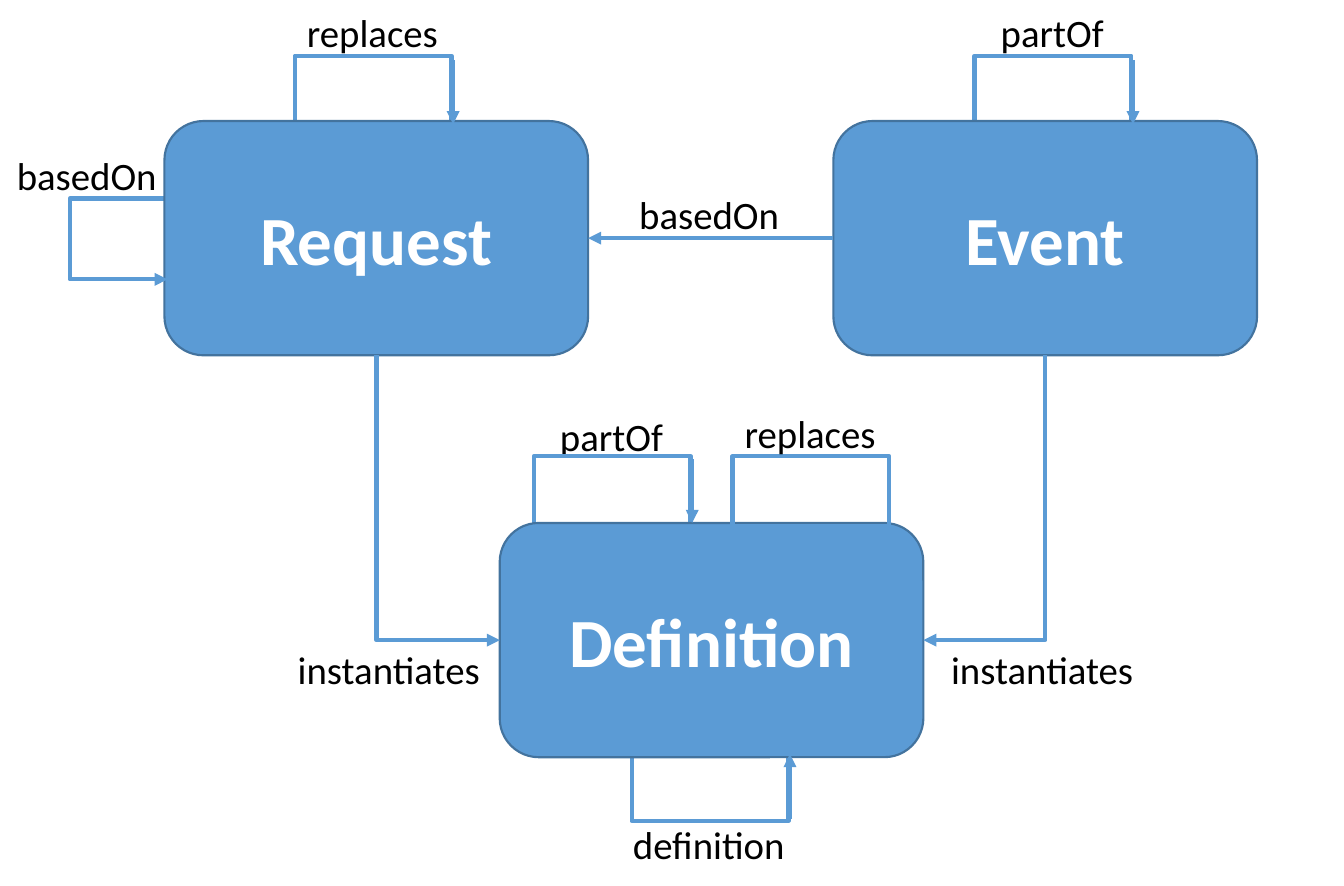
import pptx
import pptx.util
import pptx.dml.color
import pptx.enum.shapes
import pptx.enum.text
import pptx.oxml.ns
import lxml.etree
import dataclasses

Inches = pptx.util.Inches
Pt = pptx.util.Pt
Color = pptx.dml.color.RGBColor.from_string
Shape = pptx.enum.shapes.MSO_SHAPE
Connector = pptx.enum.shapes.MSO_CONNECTOR
qn = pptx.oxml.ns.qn


@dataclasses.dataclass
class Theme:
    font: str = "Calibri"
    blue: str = "5B9BD5"
    border: str = "43739E"
    light: str = "FFFFFF"
    dark: str = "000000"
    title_size: int = 32
    label_size: int = 18
    line_width: int = 2
    border_width: int = 1


theme = Theme()
deck = pptx.Presentation()
deck.slide_width, deck.slide_height = Inches(8.66), Inches(5.71)
page = deck.slides.add_slide(deck.slide_layouts[6])


def add_box(kind, left, top, width, height, line_color, line_width):
    box = page.shapes.add_shape(kind, Inches(left), Inches(top), Inches(width), Inches(height))
    box.shadow.inherit = False
    box.fill.background()
    box.line.color.rgb = Color(line_color)
    box.line.width = Pt(line_width)
    return box


def add_text(box, text, size, color, bold):
    span = box.text_frame.paragraphs[0].add_run()
    span.text = text
    span.font.name = theme.font
    span.font.size = Pt(size)
    span.font.color.rgb = Color(color)
    span.font.bold = bold


box_width, box_height = 2.73, 1.51
top_loop = (1.01, 0.45)
side_loop = (0.62, 0.52)
label_height = 0.4

back_loops = [
    (4.07, 4.84, top_loop),
    (1.9, 0.36, top_loop),
    (0.45, 1.28, side_loop),
    (6.28, 0.36, top_loop),
]
labels = [
    ("basedOn", 4.02, 1.18, 1.11),
    ("instantiates", 6.03, 4.11, 1.39),
    ("partOf", 6.35, 0.01, 0.87),
    ("basedOn", 0.01, 0.93, 1.11),
    ("instantiates", 1.82, 4.11, 1.39),
    ("replaces", 1.88, 0.01, 1.06),
    ("definition", 3.98, 5.24, 1.19),
    ("partOf", 3.51, 2.61, 0.87),
]
definition_part_loop = (3.44, 2.94, top_loop)
definition_replaces_loop = (4.72, 2.94, top_loop)
definition_replaces_label = ("replaces", 4.7, 2.59, 1.06)

layers = [
    (back_loops, labels),
    ([definition_part_loop], []),
    ([definition_replaces_loop], [definition_replaces_label]),
]
resources = {"Request": (1.06, 0.78), "Event": (5.37, 0.78), "Definition": (3.22, 3.37)}
boxes = {}
arrows = []

for layer, (loops, captions) in enumerate(layers):
    if layer == 2:
        for name, (left, top) in resources.items():
            box = add_box(Shape.ROUNDED_RECTANGLE, left, top, box_width, box_height,
                          theme.border, theme.border_width)
            box.fill.solid()
            box.fill.fore_color.rgb = Color(theme.blue)
            box.text_frame.word_wrap = True
            box.text_frame.vertical_anchor = pptx.enum.text.MSO_ANCHOR.MIDDLE
            box.text_frame.paragraphs[0].alignment = pptx.enum.text.PP_ALIGN.CENTER
            add_text(box, name, theme.title_size, theme.light, True)
            boxes[name] = box
    for left, top, (width, height) in loops:
        add_box(Shape.RECTANGLE, left, top, width, height, theme.blue, theme.line_width)
    for text, left, top, width in captions:
        label = page.shapes.add_textbox(Inches(left), Inches(top), Inches(width), Inches(label_height))
        label.text_frame.word_wrap = False
        label.text_frame.auto_size = pptx.enum.text.MSO_AUTO_SIZE.SHAPE_TO_FIT_TEXT
        add_text(label, text, theme.label_size, theme.dark, False)

loop_arrows = [
    (4.46, 2.96, 4.46, 3.37),
    (7.3, 0.39, 7.3, 0.8),
    (0.57, 1.8, 1.08, 1.8),
    (2.92, 0.39, 2.92, 0.8),
    (5.09, 5.28, 5.09, 4.86),
]
for ends in loop_arrows:
    arrows.append(page.shapes.add_connector(Connector.STRAIGHT, *map(Inches, ends)))

based_on = page.shapes.add_connector(Connector.STRAIGHT, 0, 0, 0, 0)
based_on.begin_connect(boxes["Event"], 1)
based_on.end_connect(boxes["Request"], 3)
arrows.append(based_on)

definition_left, definition_top = resources["Definition"]
target_y = definition_top + box_height / 2
for name, target_x, turn in [("Request", definition_left, 270),
                             ("Event", definition_left + box_width, 90)]:
    left, top = resources[name]
    start_x, start_y = left + box_width / 2, top + box_height
    center_x, center_y = (start_x + target_x) / 2, (start_y + target_y) / 2
    half_length = (target_y - start_y) / 2
    half_depth = abs(target_x - start_x) / 2
    side = 1 if turn == 270 else -1
    elbow = page.shapes.add_connector(
        Connector.ELBOW,
        Inches(center_x + side * half_length), Inches(center_y - half_depth),
        Inches(center_x - side * half_length), Inches(center_y + half_depth))
    properties = elbow._element.spPr
    properties.find(qn("a:xfrm")).set("rot", str(turn * 60000))
    properties.find(qn("a:prstGeom")).set("prst", "bentConnector2")
    arrows.append(elbow)

for arrow in arrows:
    arrow.line.color.rgb = Color(theme.blue)
    arrow.line.width = Pt(theme.line_width)
    properties = arrow._element.spPr
    lxml.etree.SubElement(properties.find(qn("a:ln")), qn("a:tailEnd"), type="triangle")
    lxml.etree.SubElement(properties, qn("a:effectLst"))

deck.save("out.pptx")
